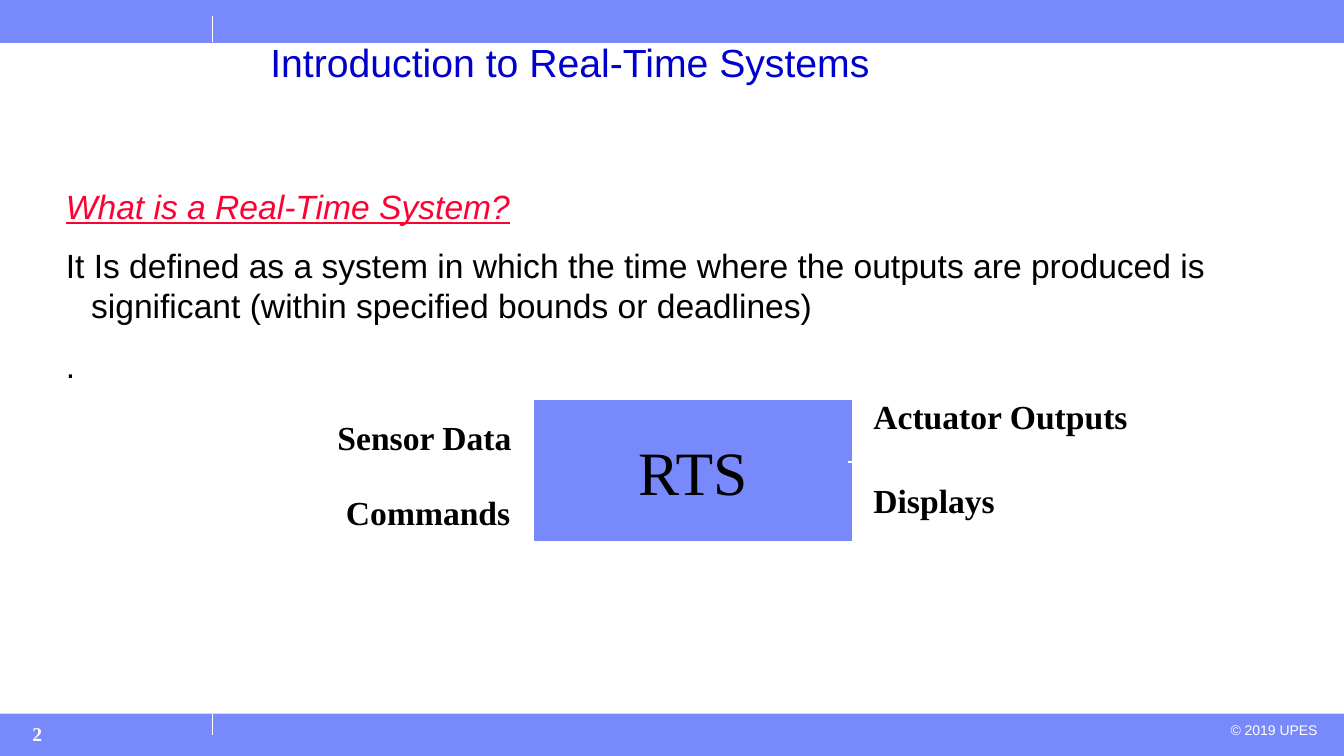
"""Build the slide that introduces real-time systems."""
from pptx import Presentation
from pptx.dml.color import RGBColor
from pptx.enum.shapes import MSO_CONNECTOR as Connector, MSO_SHAPE as Shape
from pptx.enum.text import MSO_ANCHOR as Anchor, PP_ALIGN as Align
from pptx.oxml.ns import qn
from pptx.util import Pt
from lxml.etree import SubElement

BLUE, WHITE, BLACK = "7889FB", "FFFFFF", "000000"
SERIF = "Times New Roman"


def color(value):
    return RGBColor.from_string(value)


def add_text(text, box=None, frame=None, size=24, font="Arial", fill=BLACK, bold=False,
             italic=False, underline=False, align=Align.LEFT, wrap=True, before=0,
             spacing=1.0, hanging=0):
    if frame is None:
        frame = slide.shapes.add_textbox(*map(Pt, box)).text_frame
    frame.word_wrap = wrap
    paragraph = frame.paragraphs[0]
    if paragraph.runs:
        paragraph = frame.add_paragraph()
    paragraph.alignment = align
    paragraph.space_before = Pt(before)
    paragraph.line_spacing = spacing
    if hanging:
        properties = paragraph._p.get_or_add_pPr()
        properties.set("marL", str(Pt(hanging)))
        properties.set("indent", str(-Pt(hanging)))
    run = paragraph.add_run()
    run.text = text
    run.font.name, run.font.size = font, Pt(size)
    run.font.bold, run.font.italic, run.font.underline = bold, italic, underline
    run.font.color.rgb = color(fill)
    return frame


presentation = Presentation()
presentation.slide_width, presentation.slide_height = Pt(960), Pt(540)
slide = presentation.slides.add_slide(presentation.slide_layouts[6])

rectangles = [
    (0, 509.8, 960, 30.2, BLUE, 0.25),
    (0, 0, 960, 30.2, BLUE, 0.25),
    (381, 285.4, 227.9, 101.9, WHITE, 1),
]
for left, top, width, height, outline, weight in rectangles:
    rectangle = slide.shapes.add_shape(Shape.RECTANGLE, Pt(left), Pt(top), Pt(width), Pt(height))
    rectangle.shadow.inherit = False
    rectangle.fill.solid()
    rectangle.fill.fore_color.rgb = color(BLUE)
    rectangle.line.color.rgb = color(outline)
    rectangle.line.width = Pt(weight)
system_frame = rectangle.text_frame
system_frame.vertical_anchor = Anchor.MIDDLE
add_text("RTS", frame=system_frame, size=44, font=SERIF, align=Align.CENTER, wrap=False)

lines = [
    (152, 11.5, 152, 30.2, 0.75, False),
    (152, 509.8, 152, 525, 0.75, False),
    (276, 342, 378, 342, 1, True),
    (606, 330, 720, 330, 1, True),
]
for start_x, start_y, end_x, end_y, weight, has_arrow in lines:
    line = slide.shapes.add_connector(
        Connector.STRAIGHT, Pt(start_x), Pt(start_y), Pt(end_x), Pt(end_y))
    line.line.color.rgb = color(WHITE)
    line.line.width = Pt(weight)
    if has_arrow:
        SubElement(line.line._get_or_add_ln(), qn("a:tailEnd"), type="triangle")
    SubElement(line._element.spPr, qn("a:effectLst"))

add_text("Introduction to Real-Time Systems", (186, 27.4, 653.8, 87), size=28,
         fill="0000CC", spacing=0.9)

body = add_text("What is a Real-Time System?", (40, 95.8, 872, 378), fill="FF0033",
                italic=True, underline=True, hanging=18)
body.margin_top = Pt(36.8)
for text in (
    "It Is defined as a system in which the time where the outputs are produced is "
    "significant (within specified bounds or deadlines)",
    ".",
):
    add_text(text, frame=body, before=13.5, hanging=18)

for label, left, top, width in [
    ("Sensor Data", 234, 294, 139),
    ("Commands", 240, 348, 132),
    ("Actuator Outputs", 616.8, 279, 196.5),
    ("Displays", 616.8, 339, 101.5),
]:
    add_text(label, (left, top, width, 36), font=SERIF, bold=True, wrap=False)

add_text("© 2019 UPES", (597.6, 512, 350.6, 19.4), size=10, fill=WHITE, align=Align.RIGHT)
add_text("2", (16, 512, 106, 25), size=14, font=SERIF, fill=WHITE, bold=True)

presentation.save("out.pptx")
